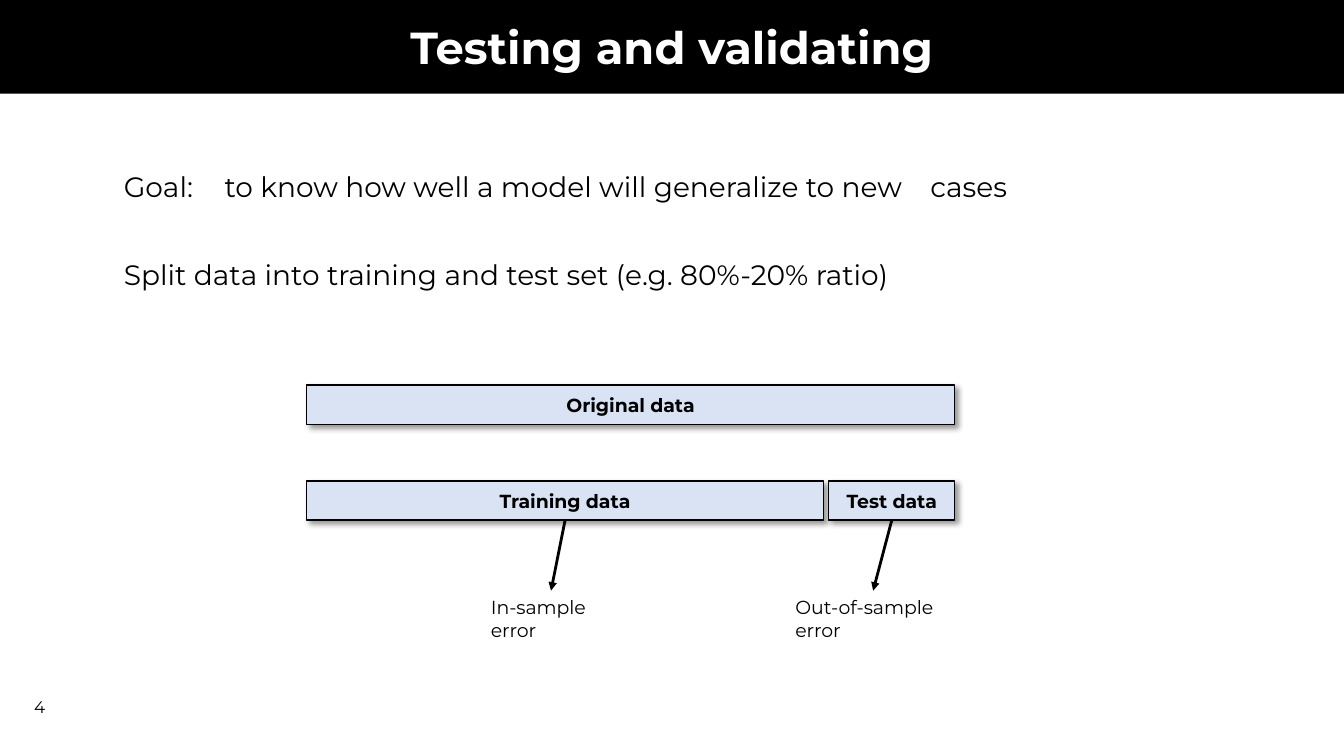
from pptx import Presentation
from pptx.util import Inches, Pt
from pptx.dml.color import RGBColor as RGB
from pptx.enum.shapes import MSO_SHAPE as Shape, MSO_CONNECTOR as Link
from pptx.enum.text import PP_ALIGN as Align, MSO_ANCHOR as Anchor
from pptx.oxml import parse_xml
from pptx.oxml.ns import nsdecls

HUES = {"ink": "000000", "paper": "FFFFFF", "bar": "DAE3F3"}
SHADE = (
    f'<a:effectLst {nsdecls("a")}>'
    '<a:outerShdw blurRad="50800" dist="38100" dir="2700000" algn="tl" rotWithShape="0">'
    f'<a:srgbClr val="{HUES["ink"]}"><a:alpha val="40000"/></a:srgbClr>'
    '</a:outerShdw></a:effectLst>'
)

deck = Presentation()
deck.slide_width, deck.slide_height = Inches(13.33), Inches(7.5)
slide = deck.slides.add_slide(deck.slide_layouts[6])
shapes = slide.shapes


def hue(name):
    return RGB.from_string(HUES[name])


def write(shape, text, size, align=Align.LEFT, bold=False, ink="ink", anchor=Anchor.MIDDLE):
    frame = shape.text_frame
    frame.text = text
    frame.word_wrap = True
    frame.vertical_anchor = anchor
    for para in frame.paragraphs:
        para.alignment = align
        for run in para.runs:
            font = run.font
            font.name, font.size, font.bold = "Montserrat", Pt(size), bold
            font.color.rgb = hue(ink)
    return frame


title = shapes.add_shape(Shape.RECTANGLE, 0, 0, deck.slide_width, Inches(0.93))
title.shadow.inherit = False
title.fill.solid()
title.fill.fore_color.rgb = hue("ink")
title.line.fill.background()
frame = write(title, "Testing and validating", 32, Align.CENTER, True, "paper")
frame.margin_top = Inches(0.12)
frame.paragraphs[0].line_spacing = 0.9

number = shapes.add_textbox(Inches(0.24), Inches(6.81), Inches(3), Inches(0.4))
write(number, "4", 12)

body = shapes.add_textbox(Inches(1.13), Inches(1.67), Inches(11.07), Inches(4.24))
goals = (
    "Goal: \tto know how well a model will generalize to new \tcases\n"
    "Split data into training and test set (e.g. 80%-20% ratio)"
)
frame = write(body, goals, 20, anchor=Anchor.TOP)
for para in frame.paragraphs:
    para.line_spacing = 0.9
frame.paragraphs[1].space_before = Pt(41)

bars = {}
for name, left, top, width in [
    ("Original data", 3.04, 3.82, 6.43),
    ("Training data", 3.04, 4.77, 5.13),
    ("Test data", 8.22, 4.77, 1.25),
]:
    bar = shapes.add_shape(Shape.RECTANGLE, Inches(left), Inches(top), Inches(width), Inches(0.39))
    bar.fill.solid()
    bar.fill.fore_color.rgb = hue("bar")
    bar.line.color.rgb = hue("ink")
    bar.line.width = Pt(1)
    bar._element.spPr.append(parse_xml(SHADE))
    write(bar, name, 13.5, Align.CENTER, True)
    bars[name] = bar

for name, text, left, width in [
    ("Training data", "In-sample error", 4.77, 1.39),
    ("Test data", "Out-of-sample error", 7.79, 1.74),
]:
    label = shapes.add_textbox(Inches(left), Inches(5.86), Inches(width), Inches(0.33))
    write(label, text, 13.5, anchor=Anchor.TOP)
    arrow = shapes.add_connector(Link.STRAIGHT, 0, 0, 0, 0)
    arrow.begin_connect(bars[name], 2)
    arrow.end_connect(label, 0)
    arrow.line.color.rgb = hue("ink")
    arrow.line.width = Pt(2)
    arrow.line._get_or_add_ln().append(parse_xml(f'<a:tailEnd {nsdecls("a")} type="triangle"/>'))
    arrow._element.spPr.append(parse_xml(f'<a:effectLst {nsdecls("a")}/>'))

deck.save("out.pptx")
